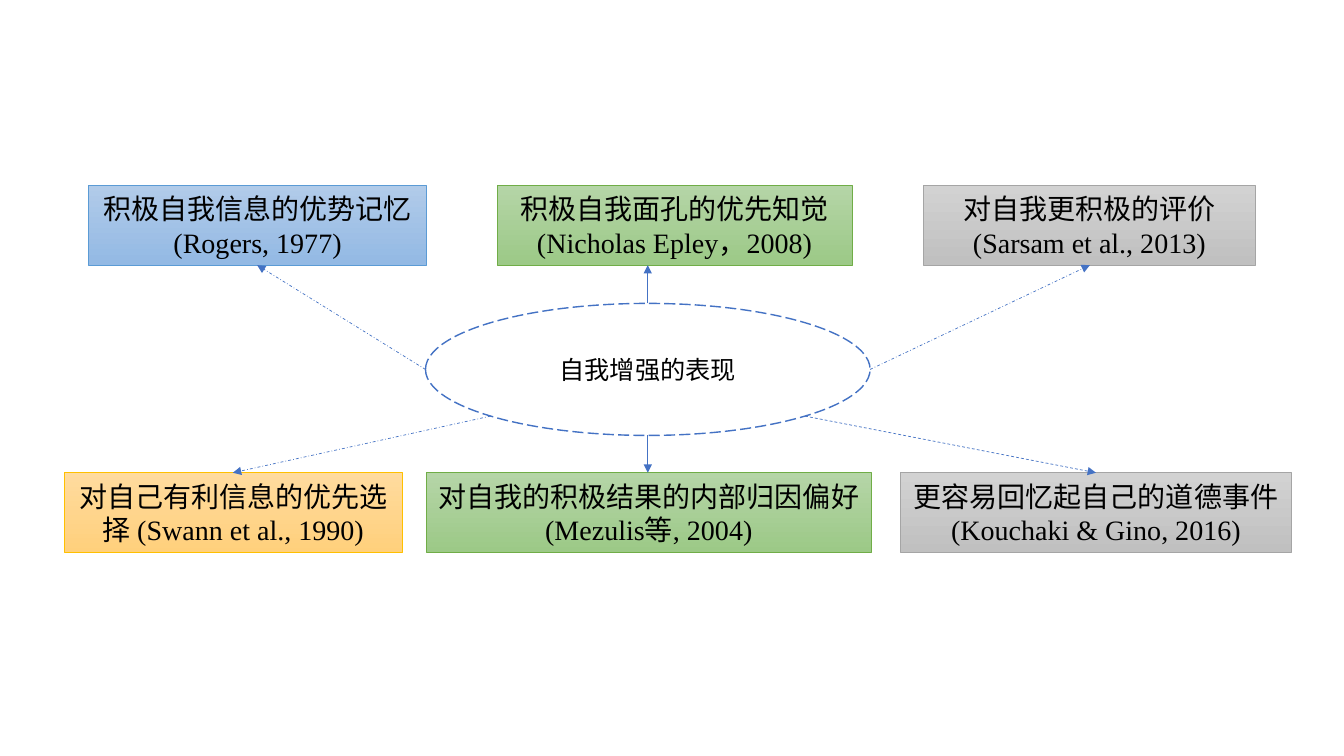
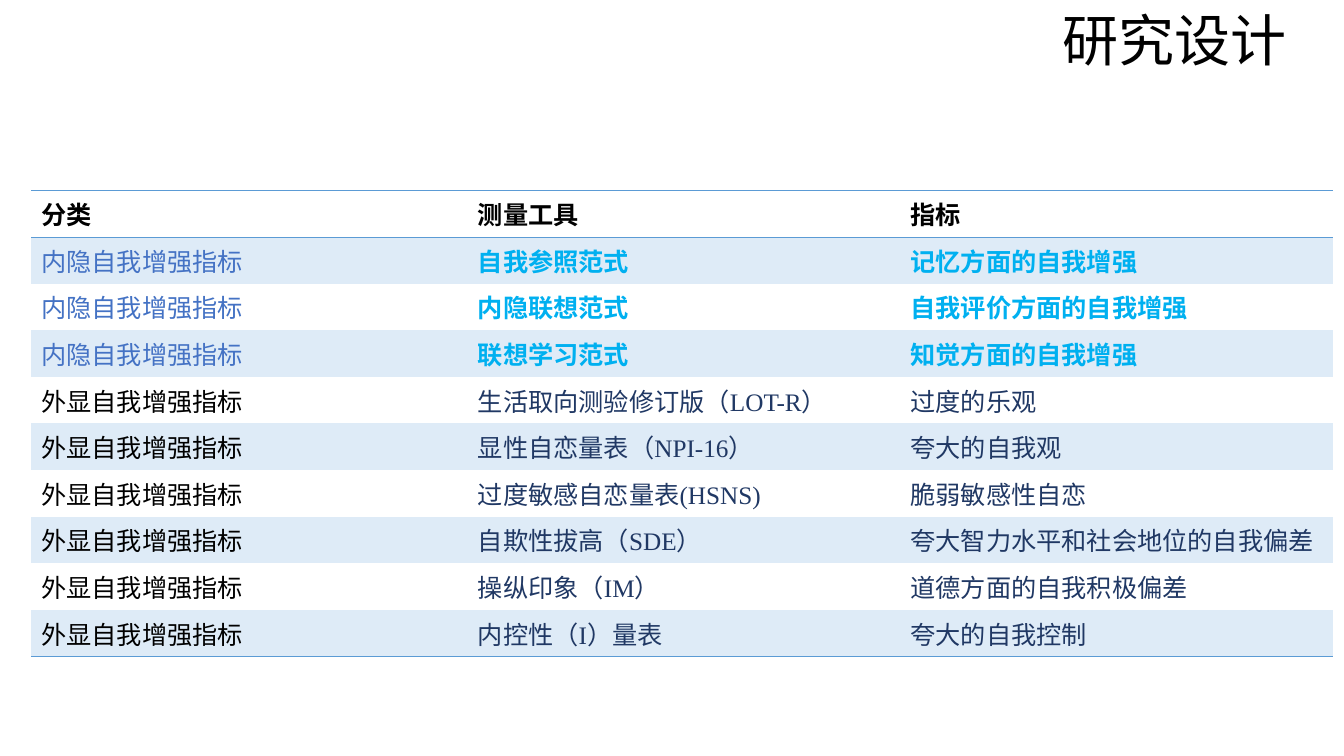
import pptx
import pptx.util
import pptx.dml.color
import pptx.enum.dml
import pptx.enum.shapes
import pptx.enum.text
import pptx.oxml.ns
from lxml import etree

Inches = pptx.util.Inches
Pt = pptx.util.Pt
qn = pptx.oxml.ns.qn
Dash = pptx.enum.dml.MSO_LINE
Shape = pptx.enum.shapes.MSO_SHAPE
Anchor = pptx.enum.text.MSO_ANCHOR
Align = pptx.enum.text.PP_ALIGN

# Shared look
SERIF, SANS = "Times New Roman", "Noto Sans CJK SC"
BLACK, NAVY, SKY, BLUE, RULE, BAND = (
    "000000", "203864", "00B0F0", "4472C4", "5B9BD5", "DEEBF7")
# Gradient top, gradient bottom, outline
TINTS = {
    "blue": ("B1CBE9", "93B9E4", "5B9BD5"),
    "green": ("B5D5A7", "9CC987", "70AD47"),
    "grey": ("D2D2D2", "C0C0C0", "A5A5A5"),
    "gold": ("FFDB9E", "FFD07C", "FFC000"),
}

# Boxes: left, width, tint, paragraphs
UPPER = [
    (0.88, 3.35, "blue", ["积极自我信息的优势记忆(Rogers, 1977)"]),
    (4.93, 3.52, "green", ["积极自我面孔的优先知觉(Nicholas Epley，2008)"]),
    (9.16, 3.29, "grey", ["对自我更积极的评价 (Sarsam et al., 2013)"]),
]
LOWER = [
    (0.64, 3.35, "gold", ["对自己有利信息的优先选择 (Swann et al., 1990)"]),
    (4.23, 4.41, "green", ["对自我的积极结果的内部归因偏好", "(Mezulis等, 2004)"]),
    (8.93, 3.88, "grey", ["更容易回忆起自己的道德事件", "(Kouchaki & Gino, 2016)"]),
]
BOX_H, UP_Y, LOW_Y = 0.79, 1.84, 4.69

# Table: heads, then tools with the index each one gives
HEADS = ["分类", "测量工具", "指标"]
INNER = [
    ("自我参照范式", "记忆方面的自我增强"),
    ("内隐联想范式", "自我评价方面的自我增强"),
    ("联想学习范式", "知觉方面的自我增强"),
]
OUTER = [
    ("生活取向测验修订版（LOT-R）", "过度的乐观"),
    ("显性自恋量表（NPI-16）", "夸大的自我观"),
    ("过度敏感自恋量表(HSNS)", "脆弱敏感性自恋"),
    ("自欺性拔高（SDE）", "夸大智力水平和社会地位的自我偏差"),
    ("操纵印象（IM）", "道德方面的自我积极偏差"),
    ("内控性（I）量表", "夸大的自我控制"),
]


def rgb(code):
    return pptx.dml.color.RGBColor.from_string(code)


def add_run(para, text, size, face=SERIF, tone=BLACK, bold=False):
    run = para.add_run()
    run.text = text
    font = run.font
    font.size, font.name, font.bold = Pt(size), face, bold
    font.color.rgb = rgb(tone)
    east = etree.SubElement(run._r.get_or_add_rPr(), qn("a:ea"))
    east.set("typeface", SANS)


def add_node(slide, kind, left, top, width, height, lines, size, face=SERIF):
    node = slide.shapes.add_shape(
        kind, Inches(left), Inches(top), Inches(width), Inches(height))
    node.shadow.inherit = False
    frame = node.text_frame
    frame.word_wrap = True
    frame.vertical_anchor = Anchor.MIDDLE
    for i, line in enumerate(lines):
        para = frame.add_paragraph() if i else frame.paragraphs[0]
        para.alignment = Align.CENTER
        add_run(para, line, size, face)
    return node


def add_box(slide, left, top, width, tint, lines):
    box = add_node(slide, Shape.RECTANGLE, left, top, width, BOX_H, lines, 20)
    light, dark, edge = TINTS[tint]
    box.fill.gradient()
    box.fill.gradient_angle = 270
    for stop, tone in zip(box.fill.gradient_stops, (light, dark)):
        stop.color.rgb = rgb(tone)
    box.line.color.rgb = rgb(edge)
    box.line.width = Pt(0.5)


def add_arrow(slide, start, end, dash=None):
    arrow = slide.shapes.add_connector(
        pptx.enum.shapes.MSO_CONNECTOR.STRAIGHT,
        *(Inches(n) for n in (*start, *end)))
    line = arrow.line
    line.color.rgb = rgb(BLUE)
    line.width = Pt(0.5)
    if dash:
        line.dash_style = dash
    tail = etree.SubElement(line._get_or_add_ln(), qn("a:tailEnd"))
    tail.set("type", "triangle")
    etree.SubElement(arrow._element.spPr, qn("a:effectLst"))


def set_edge(cell, side, ruled):
    edge = etree.SubElement(cell._tc.get_or_add_tcPr(), qn("a:" + side))
    if ruled:
        edge.set("w", str(Pt(1)))
        fill = etree.SubElement(edge, qn("a:solidFill"))
        etree.SubElement(fill, qn("a:srgbClr")).set("val", RULE)
    else:
        etree.SubElement(edge, qn("a:noFill"))


def add_grid(slide, rows, left, top, widths, height):
    grid = slide.shapes.add_table(
        len(rows), len(widths), Inches(left), Inches(top),
        Inches(sum(widths)), Inches(height * len(rows))).table
    grid.first_row = grid.horz_banding = False
    for col, width in zip(grid.columns, widths):
        col.width = Inches(width)
    last = len(rows) - 1
    for r, row in enumerate(rows):
        for c, (text, tone, bold) in enumerate(row):
            cell = grid.cell(r, c)
            add_run(cell.text_frame.paragraphs[0], text, 18, SERIF, tone, bold)
            for side, ruled in (("lnL", False), ("lnR", False),
                                ("lnT", r in (0, 1)), ("lnB", r in (0, last))):
                set_edge(cell, side, ruled)
            if r % 2:
                cell.fill.solid()
                cell.fill.fore_color.rgb = rgb(BAND)
            else:
                cell.fill.background()


def set_title(slide, text, left, top, width, height):
    title = slide.shapes.title
    title.left, title.top = Inches(left), Inches(top)
    title.width, title.height = Inches(width), Inches(height)
    title.text_frame.vertical_anchor = Anchor.TOP
    para = title.text_frame.paragraphs[0]
    para.alignment = Align.LEFT
    add_run(para, text, 40, SANS)


def draw_map(slide):
    # Boxes above and below
    for top, group in ((UP_Y, UPPER), (LOW_Y, LOWER)):
        for left, width, tint, lines in group:
            add_box(slide, left, top, width, tint, lines)

    # Hub
    left, top, width, height = 4.22, 3.01, 4.41, 1.31
    hub = add_node(slide, Shape.OVAL, left, top, width, height,
                   ["自我增强的表现"], 18, SANS)
    hub.fill.background()
    hub.line.color.rgb = rgb(BLUE)
    hub.line.width = Pt(1)
    hub.line.dash_style = Dash.LONG_DASH

    # Arrows from the rim of the hub to the boxes
    mid_x, mid_y = left + width / 2, top + height / 2
    slant = 0.5 ** 0.5
    up_end = UP_Y + BOX_H
    for dx, dy, end, dash in (
            (-1, 0, (2.55, up_end), Dash.DASH_DOT),
            (0, -1, (mid_x, up_end), None),
            (1, 0, (10.81, up_end), Dash.DASH_DOT),
            (-slant, slant, (2.31, LOW_Y), Dash.DASH_DOT),
            (0, 1, (mid_x, LOW_Y), None),
            (slant, slant, (10.87, LOW_Y), Dash.DASH)):
        start = (mid_x + dx * width / 2, mid_y + dy * height / 2)
        add_arrow(slide, start, end, dash)


def draw_design(slide):
    set_title(slide, "研究设计", 10.44, 0, 2.89, 0.77)
    rows = [[(head, BLACK, True) for head in HEADS]]
    for group, label, shade, tone, bold in (
            (INNER, "内隐自我增强指标", BLUE, SKY, True),
            (OUTER, "外显自我增强指标", BLACK, NAVY, False)):
        for tool, index in group:
            rows.append([(label, shade, False), (tool, tone, bold),
                         (index, tone, bold)])
    add_grid(slide, rows, 0.31, 1.89, [4.33, 4.29, 4.29], 0.46)


def main():
    deck = pptx.Presentation()
    deck.slide_width, deck.slide_height = Inches(13.33), Inches(7.5)
    bare, titled = deck.slide_layouts[6], deck.slide_layouts[5]
    draw_map(deck.slides.add_slide(bare))
    draw_design(deck.slides.add_slide(titled))
    deck.save("out.pptx")


if __name__ == "__main__":
    main()
